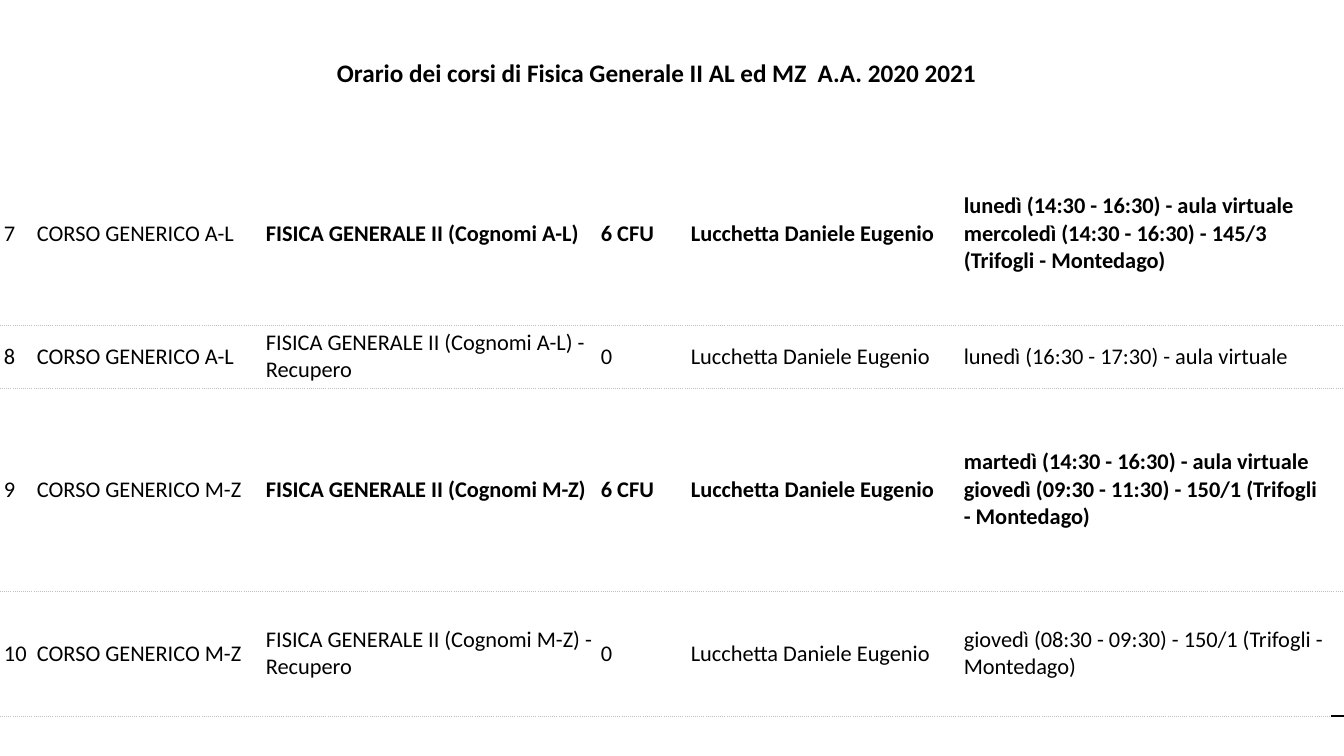
import pptx
import pptx.dml.color
import pptx.enum.text
import pptx.oxml
import pptx.oxml.ns
import pptx.util
from dataclasses import dataclass

TITLE = "Orario dei corsi di Fisica Generale II AL ed MZ  A.A. 2020 2021"
TEACHER = "Lucchetta Daniele Eugenio"
COURSES = [
    ("7", "CORSO GENERICO A-L", "FISICA GENERALE II (Cognomi A-L)", "6 CFU", TEACHER,
     "lunedì (14:30 - 16:30) - aula virtuale\n"
     "mercoledì (14:30 - 16:30) - 145/3 (Trifogli - Montedago)", ""),
    ("8", "CORSO GENERICO A-L", "FISICA GENERALE II (Cognomi A-L) - Recupero", "0", TEACHER,
     "lunedì (16:30 - 17:30) - aula virtuale", ""),
    ("9", "CORSO GENERICO M-Z", "FISICA GENERALE II (Cognomi M-Z)", "6 CFU", TEACHER,
     "martedì (14:30 - 16:30) - aula virtuale\n"
     "giovedì (09:30 - 11:30) - 150/1 (Trifogli - Montedago)", ""),
    ("10", "CORSO GENERICO M-Z", "FISICA GENERALE II (Cognomi M-Z) - Recupero", "0", TEACHER,
     "giovedì (08:30 - 09:30) - 150/1 (Trifogli - Montedago)", ""),
]

PAGE_SIZE = (1344, 756)
TITLE_BOX = (327, 52, 665, 40)
TABLE_TOP = 142
COLUMN_WIDTHS = (33, 229, 335, 90, 273, 371, 13)
ROW_HEIGHTS = (183, 63, 203, 125)
CELL_INSET = 4
EMU_PER_PX = 914400 / 100.8


@dataclass(frozen=True)
class Theme:
    font: str = "Calibri"
    title_size: int = 18
    cell_size: int = 16
    ink: str = "000000"
    paper: str = "FFFFFF"
    rule: str = "C0C0C0"
    rule_width: float = 0.38
    corner_width: float = 1


THEME = Theme()


def px(length):
    return pptx.util.Emu(round(length * EMU_PER_PX))


def rgb(color):
    return pptx.dml.color.RGBColor.from_string(color)


def style_text(para, size, bold):
    for span in para.runs:
        span.font.name = THEME.font
        span.font.size = pptx.util.Pt(size)
        span.font.bold = bold
        span.font.color.rgb = rgb(THEME.ink)


def border_xml(side, line):
    namespace = pptx.oxml.ns.nsdecls("a")
    if line is None:
        return f'<a:ln{side} {namespace} w="0"><a:noFill/></a:ln{side}>'
    color, width, dash = line
    return (f'<a:ln{side} {namespace} w="{pptx.util.Pt(width)}">'
            f'<a:solidFill><a:srgbClr val="{color}"/></a:solidFill>'
            f'<a:prstDash val="{dash}"/></a:ln{side}>')


def set_borders(cell, top, bottom):
    properties = cell._tc.get_or_add_tcPr()
    sides = (("L", None), ("R", None), ("T", top), ("B", bottom))
    for position, (side, line) in enumerate(sides):
        properties.insert(position, pptx.oxml.parse_xml(border_xml(side, line)))


def fill_cell(cell, text, bold):
    cell.margin_left = cell.margin_right = px(CELL_INSET)
    cell.margin_top = cell.margin_bottom = px(CELL_INSET)
    cell.vertical_anchor = pptx.enum.text.MSO_ANCHOR.MIDDLE
    cell.fill.solid()
    cell.fill.fore_color.rgb = rgb(THEME.paper)
    para = cell.text_frame.paragraphs[0]
    para.text = text
    style_text(para, THEME.cell_size, bold)


def add_timetable(page):
    frame = page.shapes.add_table(
        len(COURSES), len(COLUMN_WIDTHS), px(0), px(TABLE_TOP),
        px(sum(COLUMN_WIDTHS)), px(sum(ROW_HEIGHTS)))
    table = frame.table
    table.first_row = table.horz_banding = False
    for column, width in zip(table.columns, COLUMN_WIDTHS):
        column.width = px(width)
    for row, height in zip(table.rows, ROW_HEIGHTS):
        row.height = px(height)

    dotted = (THEME.rule, THEME.rule_width, "dot")
    for row_index, course in enumerate(COURSES):
        main_lesson = course[3] != "0"
        for column_index, text in enumerate(course):
            cell = table.cell(row_index, column_index)
            fill_cell(cell, text, main_lesson and column_index >= 2)
            set_borders(cell, dotted if row_index else None, dotted)

    corner = table.cell(len(COURSES) - 1, len(COLUMN_WIDTHS) - 1)
    corner.fill.background()
    for border in corner._tc.tcPr.findall(pptx.oxml.ns.qn("a:lnB")):
        solid = (THEME.ink, THEME.corner_width, "solid")
        corner._tc.tcPr.replace(border, pptx.oxml.parse_xml(border_xml("B", solid)))


def add_title(page):
    box = page.shapes.add_textbox(*map(px, TITLE_BOX))
    box.text_frame.word_wrap = False
    box.text_frame.auto_size = pptx.enum.text.MSO_AUTO_SIZE.SHAPE_TO_FIT_TEXT
    para = box.text_frame.paragraphs[0]
    para.text = TITLE
    style_text(para, THEME.title_size, True)


def main():
    deck = pptx.Presentation()
    deck.slide_width, deck.slide_height = map(px, PAGE_SIZE)
    page = deck.slides.add_slide(deck.slide_layouts[6])
    page.background.fill.solid()
    page.background.fill.fore_color.rgb = rgb(THEME.paper)
    add_timetable(page)
    add_title(page)
    deck.save("out.pptx")


if __name__ == "__main__":
    main()
